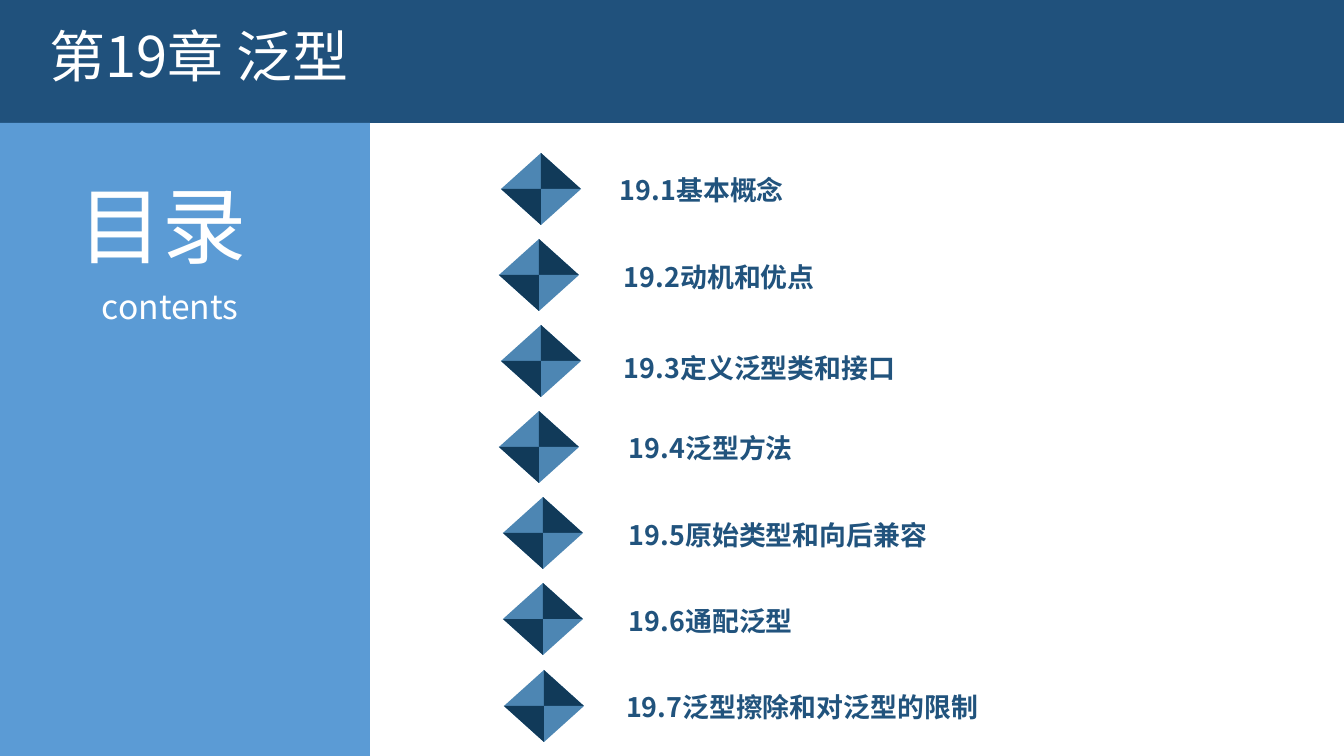
from lxml import etree
from pptx import Presentation
from pptx.dml.color import RGBColor
from pptx.enum.shapes import MSO_SHAPE
from pptx.enum.text import MSO_ANCHOR, MSO_AUTO_SIZE, PP_ALIGN
from pptx.oxml.ns import qn
from pptx.util import Pt

RECT, PEAK = MSO_SHAPE.RECTANGLE, MSO_SHAPE.ISOSCELES_TRIANGLE
TOP, MIDDLE = MSO_ANCHOR.TOP, MSO_ANCHOR.MIDDLE
JUSTIFY, GROW = PP_ALIGN.JUSTIFY, MSO_AUTO_SIZE.SHAPE_TO_FIT_TEXT
NAVY = RGBColor(0x20, 0x51, 0x7C)
SKY = RGBColor(0x5B, 0x9B, 0xD5)
STEEL = RGBColor(0x4D, 0x86, 0xB3)
DARK = RGBColor(0x11, 0x3A, 0x59)
INK = RGBColor(0x21, 0x53, 0x7D)
WHITE = RGBColor(0xFF, 0xFF, 0xFF)
FONT = "Noto Sans CJK SC"
PX = 9071  # EMU per px, 100.8 px to the inch
HALF_W, HALF_H = 40, 36


def paint(shape, color):
    shape.shadow.inherit = False
    shape.fill.solid()
    shape.fill.fore_color.rgb = color
    shape.line.fill.background()


def label(text, box, size, color):
    frame = slide.shapes.add_textbox(*[n * PX for n in box]).text_frame
    frame.word_wrap = True
    frame.auto_size = GROW
    frame.text = text
    font = frame.paragraphs[0].runs[0].font
    font.name, font.size, font.color.rgb = FONT, Pt(size), color
    east = etree.SubElement(font._element, qn("a:ea"))
    east.set("typeface", FONT)
    return frame


deck = Presentation()
deck.slide_width, deck.slide_height = 1344 * PX, 756 * PX
slide = deck.slides.add_slide(deck.slide_layouts[6])

# Header band and side panel
for box, color in (((-1, -1, 1347, 124), NAVY), ((0, 123, 370, 633), SKY)):
    paint(slide.shapes.add_shape(RECT, *[n * PX for n in box]), color)

# Titles
label("第19章 泛型", (40, 17, 960, 78), 40, WHITE)
for text, box, size in (
    ("目录", (69, 169, 221, 112), 60),
    ("contents", (92, 281, 175, 51), 24),
):
    label(text, box, size, WHITE).paragraphs[0].alignment = JUSTIFY

# Contents: text, diamond left, text left, top and width, anchor
items = (
    ("19.1基本概念", 501, 612, 163, 224, TOP),
    ("19.2动机和优点", 499, 616, 250, 268, MIDDLE),
    ("19.3定义泛型类和接口", 501, 616, 341, 357, MIDDLE),
    ("19.4泛型方法", 499, 621, 421, 232, MIDDLE),
    ("19.5原始类型和向后兼容", 503, 621, 508, 390, TOP),
    ("19.6通配泛型", 503, 621, 594, 222, TOP),
    ("19.7泛型擦除和对泛型的限制", 504, 618, 680, 462, TOP),
)
for i, (text, left, text_x, text_y, width, anchor) in enumerate(items):
    top = 153 + 517 * i // 6
    mid_x, mid_y = left + HALF_W, top + HALF_H

    # Diamond: two light triangles, each with one dark half
    gem = slide.shapes.add_group_shape().shapes
    for side, y, turn in ((1, top, 0), (-1, mid_y, 180)):
        light = gem.add_shape(PEAK, left * PX, y * PX, 2 * HALF_W * PX, HALF_H * PX)
        light.rotation = turn
        paint(light, STEEL)
        pen = gem.build_freeform(mid_x * PX, (mid_y - side * HALF_H) * PX)
        pen.add_line_segments(
            [(mid_x * PX, mid_y * PX), ((mid_x + side * HALF_W) * PX, mid_y * PX)]
        )
        paint(pen.convert_to_shape(), DARK)

    # Section name in bold small capitals
    frame = label(text, (text_x, text_y, width, 48), 24, INK)
    frame.word_wrap = False
    frame.vertical_anchor = anchor
    frame.margin_left = frame.margin_right = 8 * PX
    frame.margin_top = frame.margin_bottom = 4 * PX
    font = frame.paragraphs[0].runs[0].font
    font.bold = True
    font._element.set("cap", "small")

deck.save("out.pptx")
